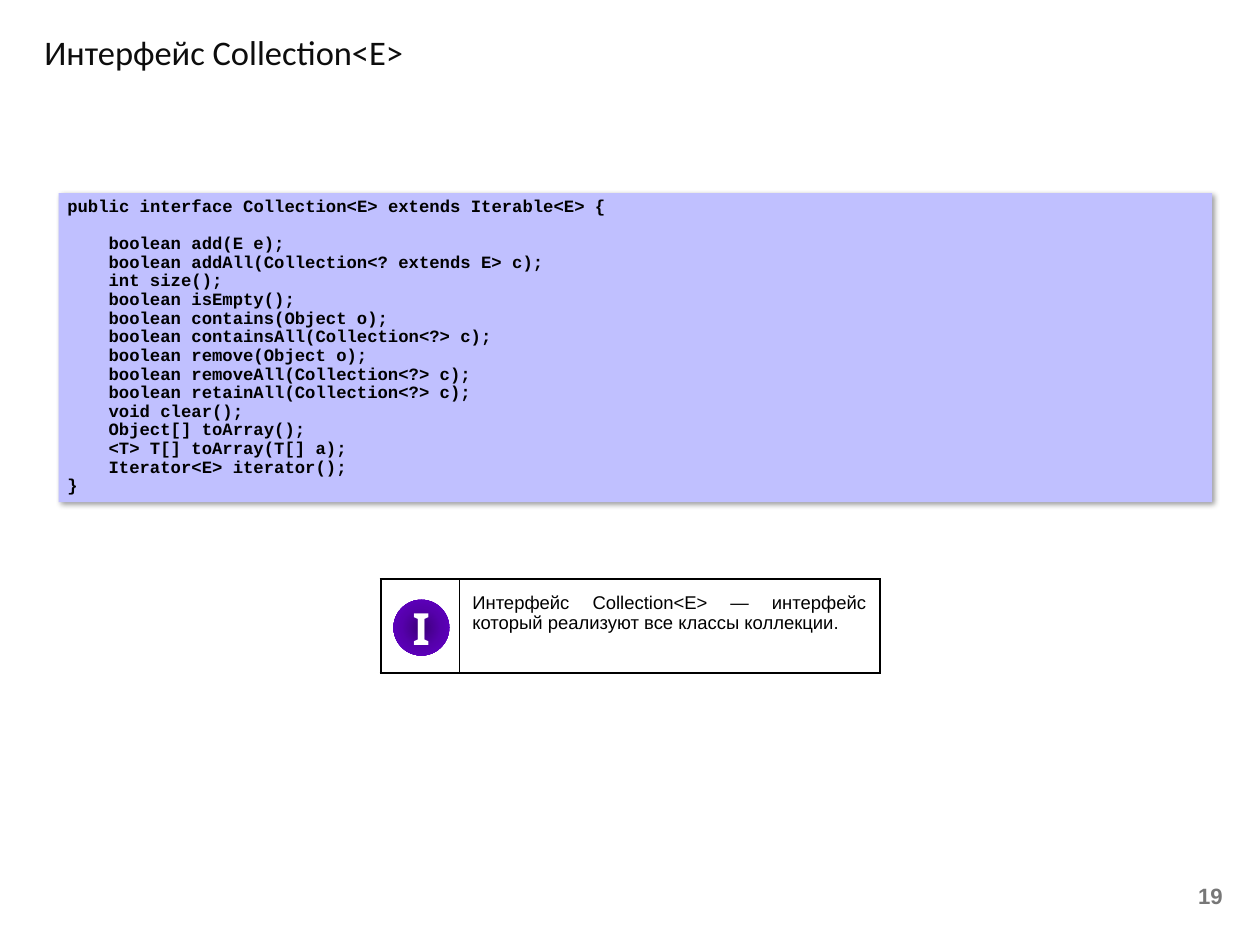
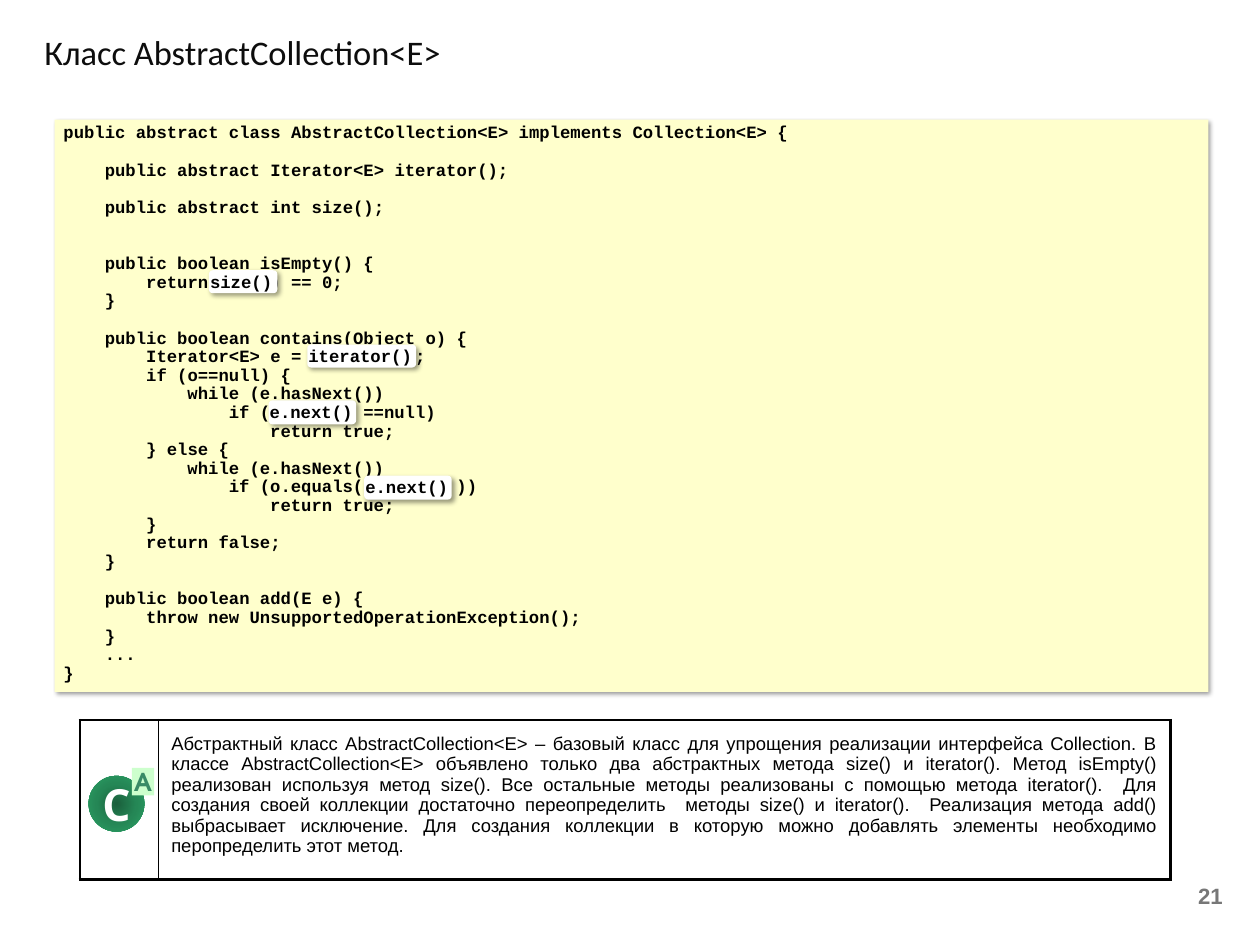
"""Builds two lecture slides on the Java collection interfaces."""
from lxml import etree
from pptx import Presentation
from pptx.dml.color import RGBColor
from pptx.enum.shapes import MSO_SHAPE
from pptx.enum.text import MSO_ANCHOR, MSO_AUTO_SIZE, PP_ALIGN
from pptx.oxml import parse_xml
from pptx.oxml.ns import nsdecls
from pptx.util import Cm, Pt

RECT, ROUNDED, OVAL = MSO_SHAPE.RECTANGLE, MSO_SHAPE.ROUNDED_RECTANGLE, MSO_SHAPE.OVAL
TOP, MIDDLE = MSO_ANCHOR.TOP, MSO_ANCHOR.MIDDLE
LEFT, CENTER, RIGHT, JUSTIFY = PP_ALIGN.LEFT, PP_ALIGN.CENTER, PP_ALIGN.RIGHT, PP_ALIGN.JUSTIFY
FIT, FIXED = MSO_AUTO_SIZE.SHAPE_TO_FIT_TEXT, MSO_AUTO_SIZE.NONE

BLACK = RGBColor(0x00, 0x00, 0x00)
WHITE = RGBColor(0xFF, 0xFF, 0xFF)
INK = RGBColor(0x0D, 0x0D, 0x0D)
GRAY = RGBColor(0x77, 0x77, 0x77)
LILAC = RGBColor(0xC0, 0xC0, 0xFF)
CREAM = RGBColor(0xFF, 0xFF, 0xCC)
MINT = RGBColor(0xCD, 0xFF, 0xCD)
LEAF = RGBColor(0x39, 0x8B, 0x66)
PURPLES = RGBColor(0x3C, 0x00, 0x79), RGBColor(0x56, 0x00, 0xAC), RGBColor(0x66, 0x00, 0xCC)
GREENS = RGBColor(0x1A, 0x5F, 0x3C), RGBColor(0x25, 0x87, 0x56), RGBColor(0x2B, 0xA1, 0x66)

CODE_CHAR, CODE_LINE = Pt(8.4), Pt(15.2)
THICK, THIN = Pt(2.25), Pt(0.5)

COLLECTION = """public interface Collection<E> extends Iterable<E> {

    boolean add(E e);
    boolean addAll(Collection<? extends E> c);
    int size();
    boolean isEmpty();
    boolean contains(Object o);
    boolean containsAll(Collection<?> c);
    boolean remove(Object o);
    boolean removeAll(Collection<?> c);
    boolean retainAll(Collection<?> c);
    void clear();
    Object[] toArray();
    <T> T[] toArray(T[] a);
    Iterator<E> iterator();
}"""

ABSTRACT_COLLECTION = """public abstract class AbstractCollection<E> implements Collection<E> {

    public abstract Iterator<E> iterator();

    public abstract int size();


    public boolean isEmpty() {
        return size() == 0;
    }

    public boolean contains(Object o) {
        Iterator<E> e = iterator();
        if (o==null) {
            while (e.hasNext())
                if (e.next() ==null)
                    return true;
        } else {
            while (e.hasNext())
                if (o.equals(e.next() ))
                    return true;
        }
        return false;
    }

    public boolean add(E e) {
        throw new UnsupportedOperationException();
    }
    ...
}"""

ABSTRACT_NOTE = (
    "Абстрактный класс AbstractCollection<E> – базовый класс для упрощения реализации "
    "интерфейса Collection. В классе AbstractCollection<E> объявлено только два абстрактных "
    "метода size() и iterator(). Метод isEmpty() реализован используя метод size(). Все "
    "остальные методы реализованы с помощью метода iterator().  Для создания своей коллекции "
    "достаточно переопределить  методы size() и iterator().  Реализация метода add() "
    "выбрасывает исключение. Для создания коллекции в которую можно добавлять элементы "
    "необходимо перопределить этот метод.")


class Deck:
    """Holds the shared style and the current slide."""

    def __init__(self):
        self.prs = Presentation()
        self.prs.slide_width, self.prs.slide_height = Cm(36.12), Cm(27.1)
        self.s = None

    def add_text(self, p, text, size, font, color, bold=False, align=LEFT):
        p.alignment = align
        r = p.add_run()
        r.text = text
        r.font.size, r.font.name, r.font.bold = Pt(size), font, bold
        r.font.color.rgb = color

    def slide(self, title, number):
        self.s = self.prs.slides.add_slide(self.prs.slide_layouts[5])
        sp = self.s.shapes.title
        sp.left, sp.top, sp.width, sp.height = Cm(1.02), Cm(0.76), Cm(28.02), Cm(1.6)
        tf = sp.text_frame
        tf.word_wrap, tf.auto_size, tf.vertical_anchor = False, FIXED, TOP
        self.add_text(tf.paragraphs[0], title, 28, "Calibri", INK)
        tf = self.s.shapes.add_textbox(Cm(26.87), Cm(25.02), Cm(8.43), Cm(1.35)).text_frame
        tf.word_wrap, tf.vertical_anchor = True, MIDDLE
        self.add_text(tf.paragraphs[0], number, 18, "Arial", GRAY, True, RIGHT)

    def shape(self, kind, x, y, w, h, fill, anchor=TOP, inset=True):
        sp = self.s.shapes.add_shape(kind, Cm(x), Cm(y), Cm(w), Cm(h))
        sp.shadow.inherit = False
        sp.line.fill.background()
        sp.fill.solid()
        sp.fill.fore_color.rgb = fill
        tf = sp.text_frame
        tf.vertical_anchor = anchor
        if not inset:
            tf.margin_left = tf.margin_right = tf.margin_top = tf.margin_bottom = 0
        return sp

    def drop_shadow(self, sp):
        effects = sp._element.spPr.find("{*}effectLst")
        effects.append(parse_xml(
            f'<a:outerShdw {nsdecls("a")} blurRad="{Pt(4)}" dist="{Pt(3)}" dir="2700000" '
            f'algn="tl" rotWithShape="0"><a:srgbClr val="{BLACK}"><a:alpha val="40000"/>'
            '</a:srgbClr></a:outerShdw>'))

    def code(self, x, y, h, fill, source):
        sp = self.shape(RECT, x, y, 33.07, h, fill)
        self.drop_shadow(sp)
        tf = sp.text_frame
        tf.auto_size = FIT
        p, blanks = tf.paragraphs[0], 0
        for i, line in enumerate(source.split("\n")):
            text = line.lstrip()
            if not text:
                blanks += 1
                continue
            if i:
                p = tf.add_paragraph()
            p.line_spacing = 0.9
            p.space_before = CODE_LINE * blanks
            p._p.get_or_add_pPr().set("marL", str(CODE_CHAR * (len(line) - len(text))))
            self.add_text(p, text, 14, "Courier New", BLACK, True)
            blanks = 0

    def call(self, x, y, w, h, text):
        sp = self.shape(ROUNDED, x, y, w, h, WHITE, inset=False)
        self.drop_shadow(sp)
        sp.text_frame.auto_size = FIT
        self.add_text(sp.text_frame.paragraphs[0], text, 14, "Courier New", BLACK, True)

    def note(self, x, y, w, h, text):
        icon_w = 2.24
        table = self.s.shapes.add_table(1, 2, Cm(x), Cm(y), Cm(icon_w + w), Cm(h)).table
        table.first_row = table.horz_banding = False
        table.columns[0].width, table.columns[1].width = Cm(icon_w), Cm(w)
        for cell, left, right in zip(table.rows[0].cells, (THICK, THIN), (THIN, THICK)):
            cell.fill.solid()
            cell.fill.fore_color.rgb = WHITE
            self.borders(cell, L=left, R=right, T=THICK, B=THICK)
        cell = table.cell(0, 1)
        cell.margin_left = cell.margin_right = cell.margin_top = cell.margin_bottom = Cm(0.38)
        self.add_text(cell.text_frame.paragraphs[0], text, 15, "Arial", BLACK, align=JUSTIFY)

    def borders(self, cell, **widths):
        tcPr = cell._tc.get_or_add_tcPr()
        for i, (side, width) in enumerate(widths.items()):
            tcPr.insert(i, parse_xml(
                f'<a:ln{side} {nsdecls("a")} w="{width}"><a:solidFill>'
                f'<a:srgbClr val="{BLACK}"/></a:solidFill></a:ln{side}>'))

    def badge(self, x, y, letter, shades):
        sp = self.shape(OVAL, x, y, 1.6, 1.6, shades[0], MIDDLE, inset=False)
        solid = sp._element.spPr.find("{*}solidFill")
        grad = parse_xml(
            f'<a:gradFill {nsdecls("a")} rotWithShape="1"><a:gsLst/><a:path path="circle">'
            '<a:fillToRect l="50000" t="50000" r="50000" b="50000"/></a:path></a:gradFill>')
        for i, shade in enumerate(shades):
            gs = etree.SubElement(grad[0], solid[0].tag.replace("srgbClr", "gs"),
                                  pos=str(50000 * i))
            etree.SubElement(gs, solid[0].tag, val=str(shade))
        solid.getparent().replace(solid, grad)
        sp.text_frame.word_wrap = False
        self.add_text(sp.text_frame.paragraphs[0], letter, 36, "Noto Sans", WHITE, True, CENTER)

    def tag(self, x, y, letter):
        sp = self.shape(RECT, x, y, 0.64, 0.79, MINT, MIDDLE, inset=False)
        self.add_text(sp.text_frame.paragraphs[0], letter, 20, "TeX Gyre Adventor", LEAF, True,
                      CENTER)


def main():
    deck = Deck()

    deck.slide("Интерфейс Collection<E>", "19")
    deck.code(1.68, 5.54, 8.86, LILAC, COLLECTION)
    deck.note(10.92, 16.61, 12.06, 2.69,
              "Интерфейс Collection<E> — интерфейс который реализуют все классы коллекции.")
    deck.badge(11.28, 17.2, "I", PURPLES)

    deck.slide("Класс AbstractCollection<E>", "21")
    deck.code(1.57, 3.43, 16.41, CREAM, ABSTRACT_COLLECTION)
    deck.note(2.29, 20.65, 29.03, 4.57, ABSTRACT_NOTE)
    deck.badge(2.54, 22.25, "C", GREENS)
    deck.tag(3.78, 22.02, "A")
    for x, y, w, h, text in ((8.81, 9.88, 3.12, 0.66, "iterator()"),
                             (7.7, 11.48, 2.51, 0.69, "e.next()"),
                             (5.99, 7.75, 1.96, 0.66, "size()"),
                             (10.44, 13.64, 2.51, 0.69, "e.next()")):
        deck.call(x, y, w, h, text)

    deck.prs.save("out.pptx")


if __name__ == "__main__":
    main()
